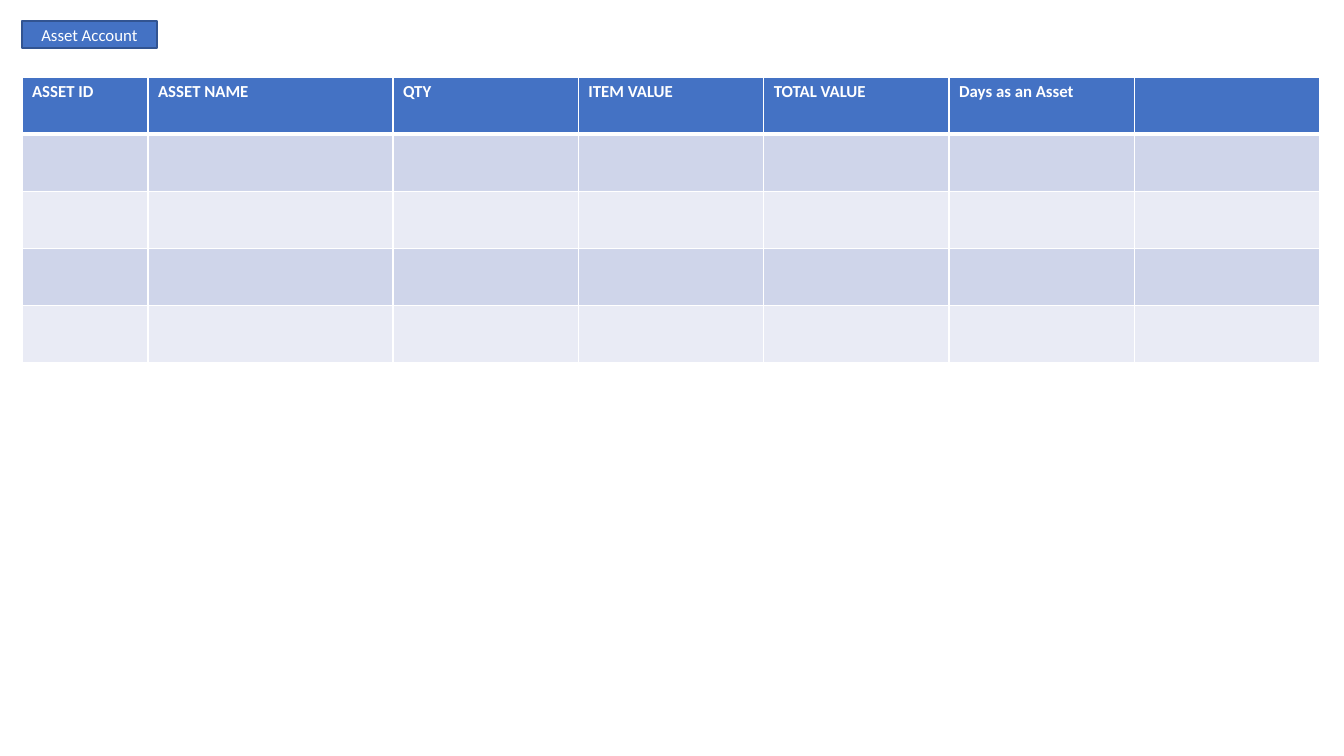
from lxml import etree
from pptx import Presentation
from pptx import util as u
from pptx.dml.color import RGBColor
from pptx.enum import shapes, text
from pptx.oxml.ns import qn

PX_PER_INCH = 100.8
BLUE = RGBColor(0x44, 0x72, 0xC4)
DARK_BLUE = RGBColor(0x32, 0x54, 0x91)
BAND_DARK = RGBColor(0xCF, 0xD5, 0xEA)
BAND_LIGHT = RGBColor(0xE9, 0xEB, 0xF5)
WHITE = RGBColor(0xFF, 0xFF, 0xFF)

HEADINGS = ["ASSET ID", "ASSET NAME", "QTY", "ITEM VALUE", "TOTAL VALUE",
            "Days as an Asset", ""]
ID_WIDTH, NAME_WIDTH = 126, 245
ROW_COUNT = 5


def px(length):
    return u.Emu(round(length * u.Inches(1) / PX_PER_INCH))


def style_text(paragraph, bold=False):
    for run in paragraph.runs:
        run.font.name = "Calibri"
        run.font.size = u.Pt(12)
        run.font.bold = bold
        run.font.color.rgb = WHITE


def add_borders(cell, bottom_width):
    properties = cell._tc.get_or_add_tcPr()
    for side, width in (("L", 1), ("R", 1), ("T", 1), ("B", bottom_width)):
        border = etree.SubElement(properties, qn("a:ln" + side), w=str(u.Pt(width)))
        fill = etree.SubElement(border, qn("a:solidFill"))
        etree.SubElement(fill, qn("a:srgbClr"), val=str(WHITE))


def add_account_label(slide, left, top, width, height):
    label = slide.shapes.add_shape(shapes.MSO_SHAPE.RECTANGLE,
                                   px(left), px(top), px(width), px(height))
    label.shadow.inherit = False
    label.fill.solid()
    label.fill.fore_color.rgb = BLUE
    label.line.color.rgb = DARK_BLUE
    label.line.width = u.Pt(1)
    frame = label.text_frame
    frame.text = "Asset Account"
    frame.vertical_anchor = text.MSO_ANCHOR.MIDDLE
    frame.paragraphs[0].alignment = text.PP_ALIGN.CENTER
    style_text(frame.paragraphs[0])


def add_asset_table(slide, left, top, width, height):
    assets = slide.shapes.add_table(ROW_COUNT, len(HEADINGS), px(left), px(top),
                                    px(width), px(height)).table

    # The columns after ID and name share the remaining width
    other_width = (width - ID_WIDTH - NAME_WIDTH) / (len(HEADINGS) - 2)
    for index, column in enumerate(assets.columns):
        column.width = px((ID_WIDTH, NAME_WIDTH)[index] if index < 2 else other_width)

    # Header row, then alternating bands
    for index, row in enumerate(assets.rows):
        row.height = px(height / ROW_COUNT)
        is_header = index == 0
        band = BAND_DARK if index % 2 else BAND_LIGHT
        for cell, heading in zip(row.cells, HEADINGS):
            add_borders(cell, 3 if is_header else 1)
            cell.fill.solid()
            cell.fill.fore_color.rgb = BLUE if is_header else band
            if is_header and heading:
                cell.text_frame.text = heading
                style_text(cell.text_frame.paragraphs[0], bold=True)


def main():
    deck = Presentation()
    deck.slide_width, deck.slide_height = px(1344), px(756)
    slide = deck.slides.add_slide(deck.slide_layouts[6])
    add_asset_table(slide, 22, 77, 1298, 286)
    add_account_label(slide, 22, 21, 135, 27)
    deck.save("out.pptx")


if __name__ == "__main__":
    main()
